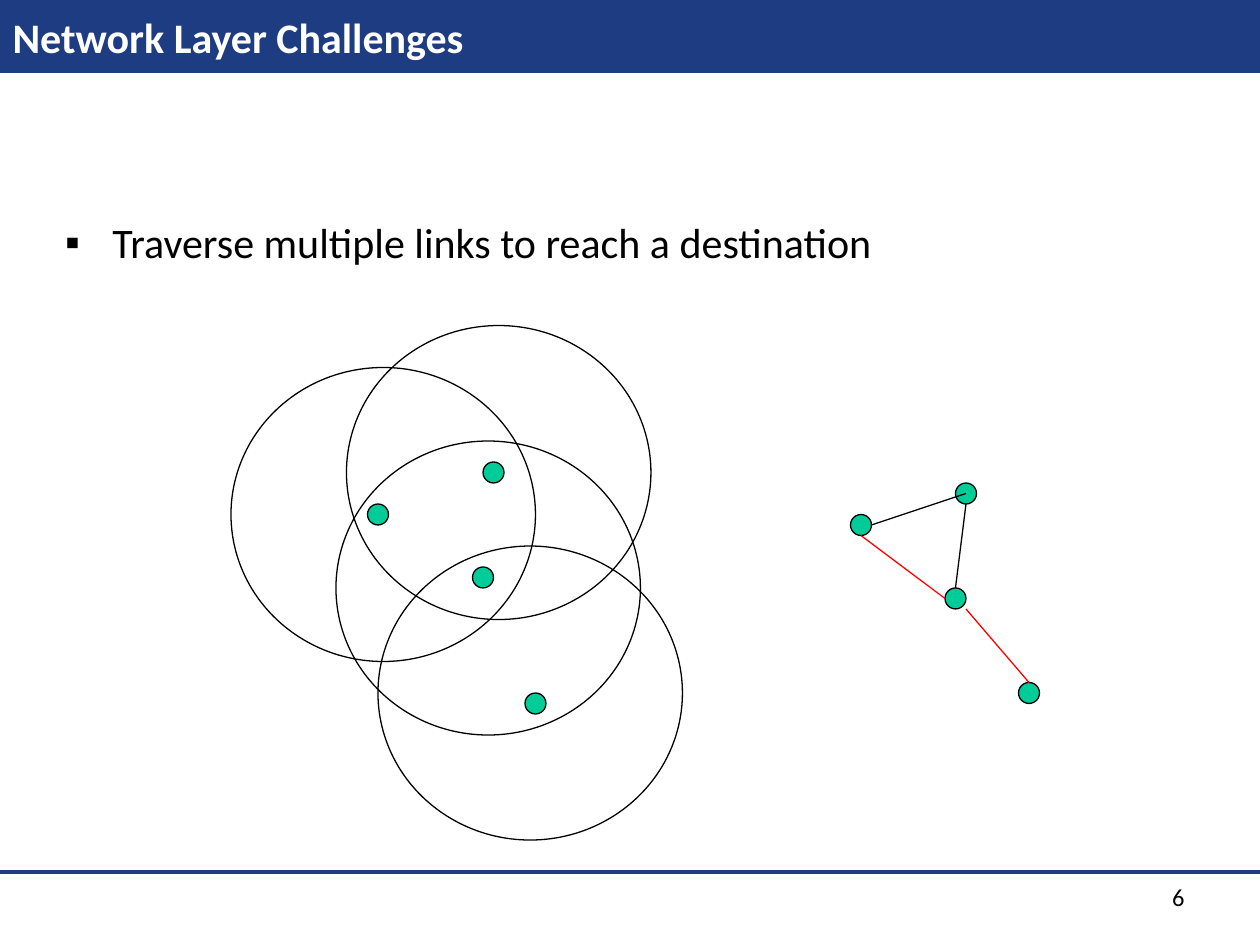
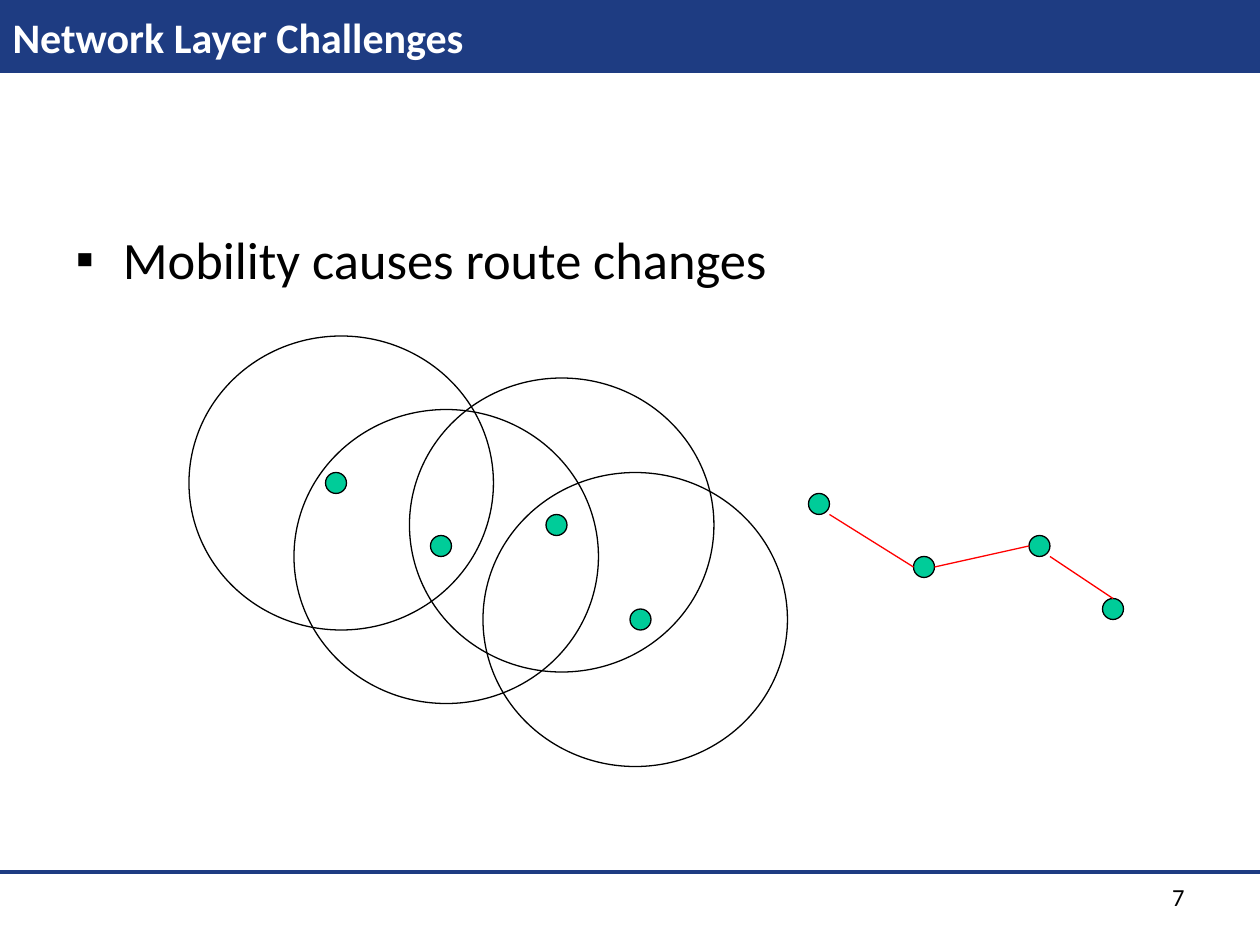
from lxml import etree
from pptx import Presentation, util as u
from pptx.dml.color import RGBColor
from pptx.enum import shapes, text
from pptx.oxml.ns import qn

COLOURS = {
    "band": "1E3C82",
    "paper": "FFFFFF",
    "ink": "000000",
    "node": "00CC99",
    "route": "FF0000",
}
FONT = "Calibri"
SLIDE_WIDTH, SLIDE_HEIGHT = u.Cm(25.4), u.Cm(19.05)
RANGE_SIZE = (29, 28)
NODE_SIZE = (2, 2)

# Diagram places are grid steps, counted from the origin of their own region.
CHALLENGES = [
    {
        "page": 6,
        "point": "Traverse multiple links to reach a destination",
        "point_place": (1.06, 4.24),
        "point_size": 24,
        "coverage_origin": (22, 31),
        "ranges": [(0, 4), (10, 11), (11, 0), (14, 21)],
        "stations": [(13, 17), (23, 23), (24, 13), (28, 35)],
        "graph_origin": (81, 46),
        "graph_nodes": [(0, 3), (9, 10), (10, 0), (16, 19)],
        "links": [
            ("ink", (2, 4), (11, 1)),
            ("ink", (10, 10), (11, 2)),
            ("route", (1, 5), (9, 11)),
            ("route", (11, 12), (17, 19)),
        ],
    },
    {
        "page": 7,
        "point": "Mobility causes route changes",
        "point_place": (1.27, 4.45),
        "point_size": 30,
        "coverage_origin": (18, 32),
        "ranges": [(0, 0), (10, 7), (21, 4), (28, 13)],
        "stations": [(13, 13), (23, 19), (34, 17), (42, 26)],
        "graph_origin": (77, 47),
        "graph_nodes": [(0, 0), (10, 6), (21, 4), (28, 10)],
        "links": [
            ("route", (2, 2), (10, 7)),
            ("route", (12, 7), (21, 5)),
            ("route", (23, 6), (29, 10)),
        ],
    },
]


def colour(name):
    return RGBColor.from_string(COLOURS[name])


def grid(steps):
    """Length of a number of grid steps, twelve to the inch."""
    return u.Cm(2.54 * steps / 12)


def grid_point(origin, place):
    return [grid(start + offset) for start, offset in zip(origin, place)]


def place_box(box, left, top, width, height):
    box.left, box.top, box.width, box.height = left, top, width, height


def style_paragraph(paragraph, size, ink="ink", bold=False, align=text.PP_ALIGN.LEFT):
    paragraph.alignment = align
    font = paragraph.font
    font.name, font.size, font.bold = FONT, u.Pt(size), bold
    font.color.rgb = colour(ink)


def add_line(slide, start, end, ink, width=0.75):
    line = slide.shapes.add_connector(shapes.MSO_CONNECTOR.STRAIGHT, *start, *end)
    line.line.color.rgb = colour(ink)
    line.line.width = u.Pt(width)
    etree.SubElement(line._element.spPr, qn("a:effectLst"))


def add_circle(slide, origin, place, size, fill=None):
    circle = slide.shapes.add_shape(
        shapes.MSO_SHAPE.OVAL, *grid_point(origin, place), *map(grid, size)
    )
    circle.shadow.inherit = False
    circle.line.color.rgb = colour("ink")
    circle.line.width = u.Pt(0.75)
    if fill:
        circle.fill.solid()
        circle.fill.fore_color.rgb = colour(fill)
    else:
        circle.fill.background()


def add_title_band(slide, heading):
    band = slide.shapes.title
    place_box(band, 0, 0, SLIDE_WIDTH, u.Cm(1.47))
    band.fill.solid()
    band.fill.fore_color.rgb = colour("band")
    frame = band.text_frame
    frame.text = heading
    frame.auto_size = text.MSO_AUTO_SIZE.NONE
    frame.vertical_anchor = text.MSO_ANCHOR.MIDDLE
    style_paragraph(frame.paragraphs[0], 24, "paper", bold=True)


def add_point(slide, wording, place, size):
    body = slide.placeholders[1]
    place_box(body, *map(u.Cm, place), u.Cm(22.86), u.Cm(1.88))
    frame = body.text_frame
    frame.text = wording
    frame.auto_size = text.MSO_AUTO_SIZE.NONE
    point = frame.paragraphs[0]
    bullet = etree.SubElement(point._p.get_or_add_pPr(), qn("a:buChar"))
    bullet.set("char", "▪")
    style_paragraph(point, size)


def add_footer(slide, page):
    rule_top = u.Cm(17.58)
    add_line(slide, (0, rule_top), (SLIDE_WIDTH, rule_top), "band", 2)
    number = slide.shapes.add_textbox(u.Cm(22.02), u.Cm(17.65), u.Cm(2.11), u.Cm(1.02))
    frame = number.text_frame
    frame.word_wrap = True
    frame.text = str(page)
    style_paragraph(frame.paragraphs[0], 14, align=text.PP_ALIGN.RIGHT)


def add_coverage(slide, origin, ranges, stations):
    """Draw the stations and the radio ranges around them."""
    for index, place in enumerate(ranges):
        add_circle(slide, origin, place, RANGE_SIZE, None if index else "paper")
    for place in stations:
        add_circle(slide, origin, place, NODE_SIZE, "node")


def add_link_graph(slide, origin, nodes, links):
    for place in nodes:
        add_circle(slide, origin, place, NODE_SIZE, "node")
    for ink, start, end in links:
        add_line(slide, grid_point(origin, start), grid_point(origin, end), ink)


def add_challenge_slide(deck, challenge):
    slide = deck.slides.add_slide(deck.slide_layouts[1])
    add_title_band(slide, "Network Layer Challenges")
    add_point(
        slide, challenge["point"], challenge["point_place"], challenge["point_size"]
    )
    add_footer(slide, challenge["page"])
    add_coverage(
        slide,
        challenge["coverage_origin"],
        challenge["ranges"],
        challenge["stations"],
    )
    add_link_graph(
        slide,
        challenge["graph_origin"],
        challenge["graph_nodes"],
        challenge["links"],
    )


def main():
    deck = Presentation()
    deck.slide_width, deck.slide_height = SLIDE_WIDTH, SLIDE_HEIGHT
    for challenge in CHALLENGES:
        add_challenge_slide(deck, challenge)
    deck.save("out.pptx")


if __name__ == "__main__":
    main()
